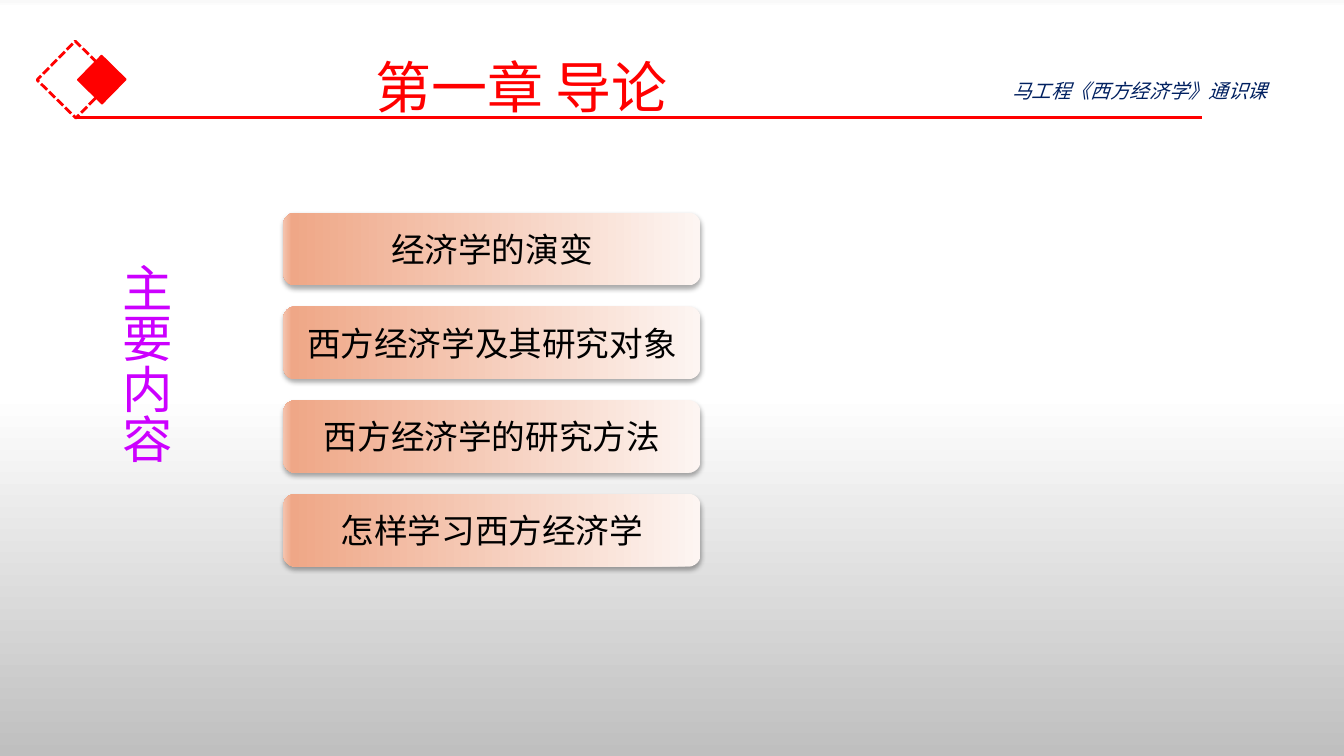
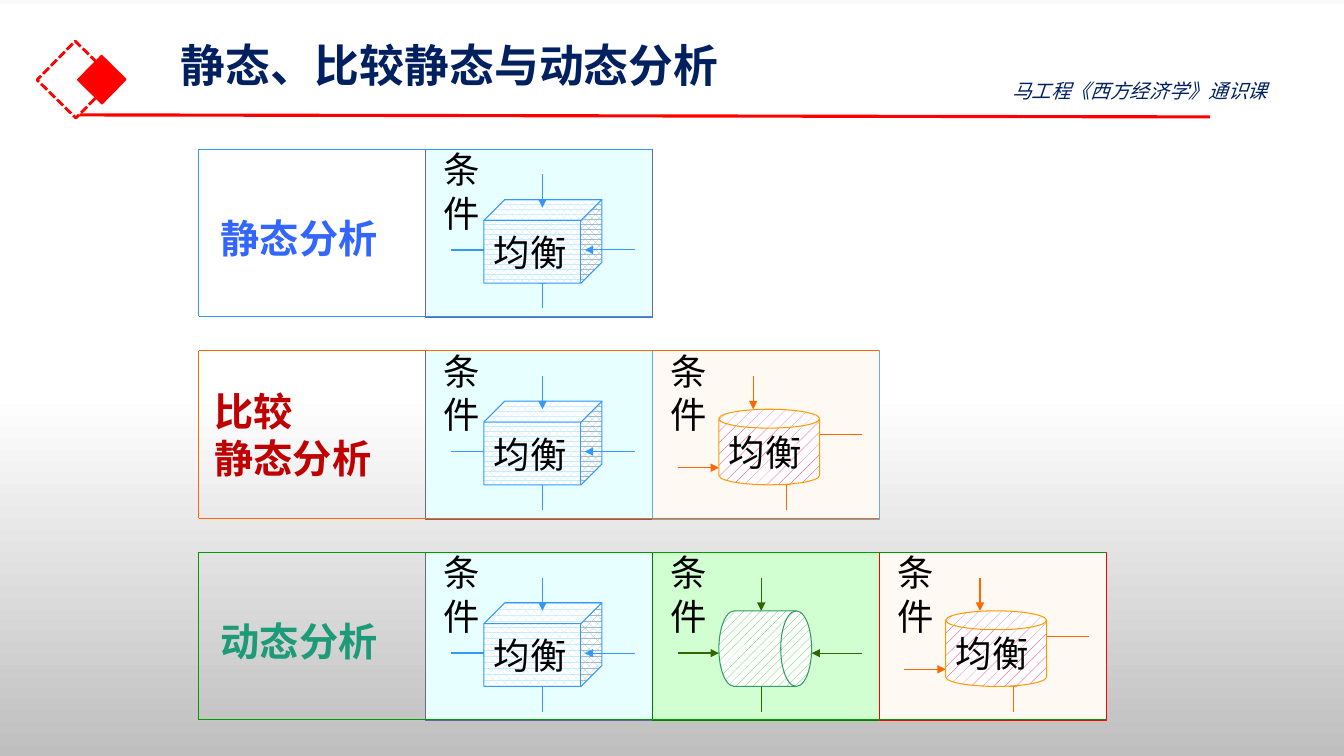
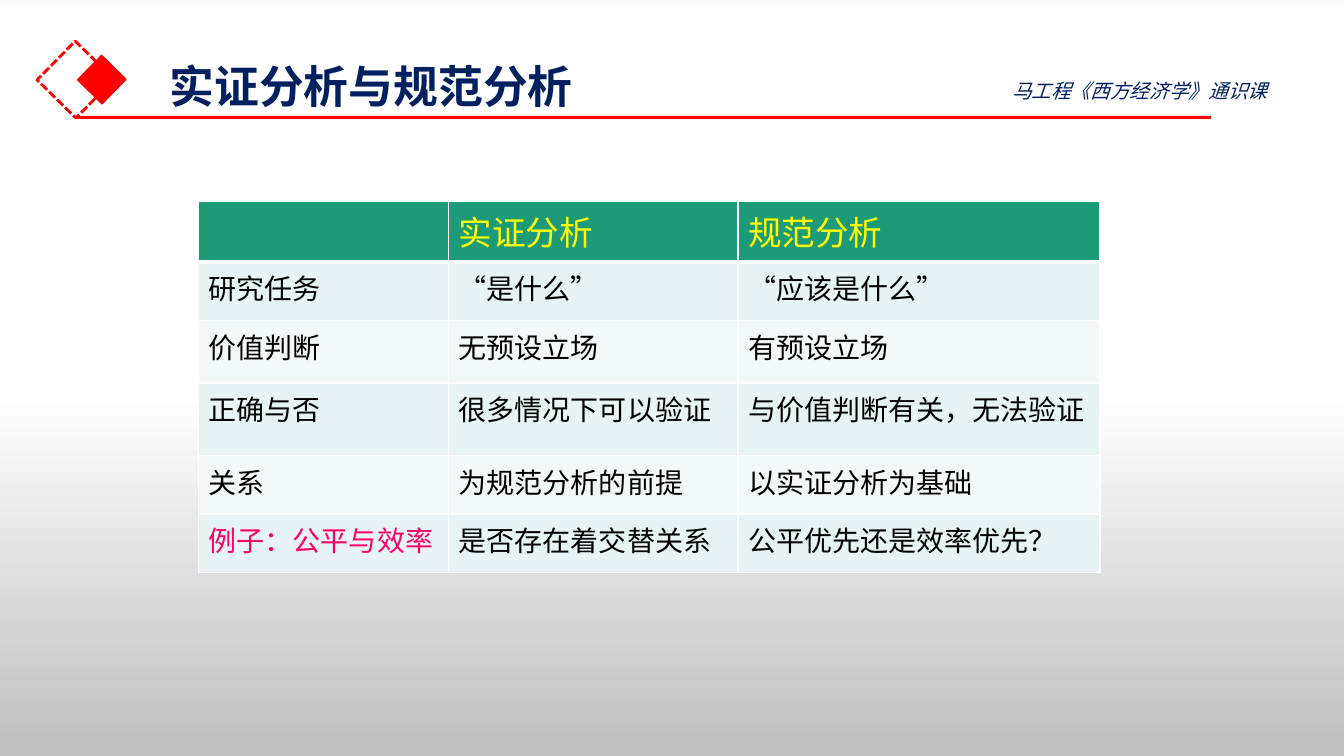
"""Build three slides of an introductory economics course."""
from dataclasses import dataclass, replace

from lxml import etree
from pptx import Presentation
from pptx import util as u
from pptx.dml.color import RGBColor
from pptx.enum import dml, lang, shapes, text
from pptx.oxml.ns import qn

SHAPE = shapes.MSO_SHAPE
ALIGN = text.PP_ALIGN
ANCHOR = text.MSO_ANCHOR
PATTERN = dml.MSO_PATTERN


@dataclass(frozen=True)
class Theme:
    """Colours, fonts and type sizes shared by the slides."""
    font: str = "Noto Sans CJK SC"
    table_font: str = "Arial"
    red: str = "FF0000"
    navy: str = "002060"
    purple: str = "CC00FF"
    black: str = "000000"
    white: str = "FFFFFF"
    blue: str = "3399FF"
    orange: str = "FF6600"
    green: str = "009900"
    teal: str = "1D9A78"
    yellow: str = "FFFF00"
    pink: str = "FF0066"
    bands: tuple = ("E7F3F4", "F3F9FA")
    backdrop: tuple = ((0, "F9F9F9"), (1, "FFFFFF"), (52, "FFFFFF"), (100, "BFBFBF"))
    button: tuple = ((0, "FDF5F2"), (98, "EFA787"), (100, "F4C4AF"))
    chapter: int = 40
    vertical: int = 36
    title: int = 32
    row_label: int = 28
    scene: int = 26
    head: int = 24
    cell: int = 20
    course: int = 14


T = Theme()


@dataclass(frozen=True)
class Scene:
    """One equilibrium cell: a solid with four arrows pointing at it."""
    fill: str
    border: str
    arrow: str
    solid: object
    at: tuple
    outline: str
    pattern: object
    ink: str
    left_y: float
    bottom_x: float
    right_y: float
    top_x: float
    behind: int = 4
    caption: str = "均衡"


CUBE = Scene("E7FFFF", "666699", T.blue, SHAPE.CUBE, (0.58, 0.5, 1.17, 0.83), T.blue,
             PATTERN.PERCENT_70, "C5ECFF", 1, 1.16, 1, 1.16, behind=2)
CAN = Scene("FFF9F3", "5FADE4", T.orange, SHAPE.CAN, (0.66, 0.58, 1, 0.75), "FF9900",
            PATTERN.PERCENT_10, T.pink, 1.16, 1.33, 0.83, 1)
DRUM = Scene("D1FFD1", "008000", "336600", SHAPE.FLOWCHART_DIRECT_ACCESS_STORAGE,
             (0.66, 0.58, 0.92, 0.75), "339966", PATTERN.PERCENT_20, "33CC33",
             1, 1.08, 1, 1.08, caption="")

ROWS = [
    (["静态分析"], "3366FF", T.blue, (2.19, 0.5, 1.61, 0.75), [CUBE]),
    (["比较", "静态分析"], "C00000", T.orange, (2.13, 0.33, 1.76, 1), [CUBE, CAN]),
    (["动态分析"], T.teal, T.green, (2.19, 0.5, 1.61, 0.75),
     [replace(CUBE, pattern=PATTERN.PERCENT_60), DRUM, replace(CAN, border=T.red)]),
]

TOPICS = ["经济学的演变", "西方经济学及其研究对象", "西方经济学的研究方法", "怎样学习西方经济学"]

COMPARISON = [
    ["", "实证分析", "规范分析"],
    ["研究任务", "“是什么”", "“应该是什么”"],
    ["价值判断", "无预设立场", "有预设立场"],
    ["正确与否", "很多情况下可以验证", "与价值判断有关，无法验证"],
    ["关系", "为规范分析的前提", "以实证分析为基础"],
    ["例子：公平与效率", "是否存在着交替关系", "公平优先还是效率优先？"],
]


def rgb(value):
    """Turn a hex string into a colour."""
    return RGBColor.from_string(value)


def box(at):
    """Convert a tuple of inches to lengths."""
    return [u.Inches(v) for v in at]


def sub(parent, tag, **attrs):
    """Append an XML child and return it."""
    return etree.SubElement(parent, qn(tag), {k: str(v) for k, v in attrs.items()})


def gradient(fill, owner, stops, angle):
    """Give a fill a linear gradient with any number of stops."""
    fill.gradient()
    fill.gradient_angle = angle
    stop_list = owner.find(".//" + qn("a:gsLst"))
    for old in list(stop_list):
        stop_list.remove(old)
    for pos, colour in stops:
        sub(sub(stop_list, "a:gs", pos=pos * 1000), "a:srgbClr", val=colour)


def write(tf, lines, size, colour, bold=False, italic=False, align=ALIGN.LEFT,
          anchor=ANCHOR.TOP, margins=(0.1, 0.05), wrap=True, spacing=None, font=T.font):
    """Fill a text frame with one formatted paragraph per line."""
    tf.word_wrap = wrap
    tf.vertical_anchor = anchor
    tf.margin_left = tf.margin_right = u.Inches(margins[0])
    tf.margin_top = tf.margin_bottom = u.Inches(margins[1])
    for i, line in enumerate(lines):
        p = tf.add_paragraph() if i else tf.paragraphs[0]
        p.alignment = align
        if spacing:
            p.line_spacing = spacing
        r = p.add_run()
        r.text = line
        r.font.size = u.Pt(size)
        r.font.bold = bold
        r.font.italic = italic
        r.font.color.rgb = rgb(colour)
        r.font.name = font
        r.font.language_id = lang.MSO_LANGUAGE_ID.SIMPLIFIED_CHINESE
        sub(r.font._element, "a:ea", typeface=T.font)


def add_text(parent, at, lines, size, colour, **style):
    """Add a text box."""
    sp = parent.add_textbox(*box(at))
    write(sp.text_frame, lines, size, colour, **style)
    return sp


def add_shape(parent, kind, at, fill=None, line=None, width=0.75):
    """Add a preset shape without shadow."""
    sp = parent.add_shape(kind, *box(at))
    sp.shadow.inherit = False
    if fill:
        sp.fill.solid()
        sp.fill.fore_color.rgb = rgb(fill)
    else:
        sp.fill.background()
    if line:
        sp.line.color.rgb = rgb(line)
        sp.line.width = u.Pt(width)
    else:
        sp.line.fill.background()
    return sp


def add_line(parent, start, end, colour, width=0.75, arrow=False):
    """Add a straight line, with an arrowhead at its end if asked."""
    cx = parent.add_connector(shapes.MSO_CONNECTOR.STRAIGHT, *box(start + end))
    cx.line.color.rgb = rgb(colour)
    cx.line.width = u.Pt(width)
    if arrow:
        sub(cx.line._get_or_add_ln(), "a:tailEnd", type="triangle")
    sub(cx._element.spPr, "a:effectLst")
    return cx


def add_slide(prs, title, at, rule, size=T.title, colour=T.navy, **style):
    """Add a slide with its title, diamond mark, rule and course name."""
    s = prs.slides.add_slide(prs.slide_layouts[5])
    diamond = add_shape(s.shapes, SHAPE.RECTANGLE, (0.48, 0.52, 0.54, 0.54), None, T.red, 2)
    diamond.line.dash_style = dml.MSO_LINE.SQUARE_DOT
    core = add_shape(s.shapes, SHAPE.RECTANGLE, (0.84, 0.62, 0.34, 0.34), T.red, T.red, 1)
    diamond.rotation = core.rotation = 314.5
    add_line(s.shapes, *rule, T.red, 2.25)
    sp = s.shapes.title
    sp.left, sp.top, sp.width, sp.height = box(at)
    sp.text_frame.auto_size = text.MSO_AUTO_SIZE.NONE
    write(sp.text_frame, [title], size, colour, margins=(0.1, 0), **style)
    add_text(s.shapes, (9.94, 0.73, 3.24, 0.34), ["马工程《西方经济学》通识课"],
             T.course, T.navy, italic=True)
    return s


def add_button(s, at, label):
    """Add a rounded gradient button with a soft shadow."""
    sp = add_shape(s.shapes, SHAPE.ROUNDED_RECTANGLE, at)
    gradient(sp.fill, sp._element.spPr, T.button, 180)
    effects = sp._element.spPr.find(qn("a:effectLst"))
    shadow = sub(effects, "a:outerShdw", blurRad=u.Pt(3.5), dist=u.Pt(2.2),
                 dir=5400000, algn="t", rotWithShape=0)
    sub(sub(shadow, "a:srgbClr", val=T.black), "a:alpha", val=32000)
    write(sp.text_frame, [label], T.head, T.black, align=ALIGN.CENTER, anchor=ANCHOR.MIDDLE)


def add_scene(parent, scene, x, y):
    """Draw one equilibrium cell with its top left corner at x, y."""
    add_shape(parent, SHAPE.RECTANGLE, (x, y, 2.25, 1.67), scene.fill, scene.border)
    arrows = [
        ((0.25, scene.left_y), (0.66, scene.left_y), 1),
        ((scene.bottom_x, 1.58), (scene.bottom_x, 1.25), 0.75),
        ((2.08, scene.right_y), (1.58, scene.right_y), 0.75),
        ((scene.top_x, 0.25), (scene.top_x, 0.58), 0.75),
    ]

    def draw(part):
        for (x1, y1), (x2, y2), width in part:
            add_line(parent, (x + x1, y + y1), (x + x2, y + y2), scene.arrow, width, True)

    draw(arrows[:scene.behind])
    left, top, width, height = scene.at
    sp = add_shape(parent, scene.solid, (x + left, y + top, width, height), None, scene.outline)
    sp.fill.patterned()
    sp.fill.pattern = scene.pattern
    sp.fill.fore_color.rgb = rgb(scene.ink)
    sp.fill.back_color.rgb = rgb(T.white)
    if scene.caption:
        write(sp.text_frame, [scene.caption], T.scene, T.black,
              anchor=ANCHOR.MIDDLE, wrap=False)
    draw(arrows[scene.behind:])
    add_text(parent, (x + 0.08, y + 0.08, 0.67, 0.67), ["条件"], T.scene, T.black,
             anchor=ANCHOR.MIDDLE, wrap=False)


def add_row(s, y, label, colour, frame, label_at, scenes):
    """Draw one method of analysis: label, scenes and frame."""
    parent = s.shapes.add_group_shape().shapes
    left, step, height = 1.97, 2.25, 1.66
    for i, scene in enumerate(scenes, 1):
        add_scene(parent, scene, left + i * step, y)
    x, dy, w, h = label_at
    add_text(parent, (x, y + dy, w, h), label, T.row_label, colour, bold=True,
             align=ALIGN.JUSTIFY, anchor=ANCHOR.MIDDLE, margins=(0, 0.05))
    right, bottom = left + (len(scenes) + 1) * step, y + height
    add_line(parent, (left, bottom), (right, bottom), frame)
    add_line(parent, (left, y), (right, y), frame)
    add_line(parent, (left, bottom), (left, y), frame)


def set_borders(cell, widths):
    """Give a cell white borders: left, right, top, bottom."""
    tc_pr = cell._tc.get_or_add_tcPr()
    for i, (side, width) in enumerate(zip("LRTB", widths)):
        ln = sub(tc_pr, "a:ln" + side, w=u.Pt(width))
        sub(sub(ln, "a:solidFill"), "a:srgbClr", val=T.white)
        tc_pr.insert(i, ln)


def add_comparison(s, at, cols, heights):
    """Add the comparison table."""
    table = s.shapes.add_table(len(heights), len(cols), *box(at)).table
    for col, width in zip(table.columns, cols):
        col.width = u.Inches(width)
    for row, height in zip(table.rows, heights):
        row.height = u.Inches(height)
    last = len(COMPARISON) - 1
    for i, row in enumerate(COMPARISON):
        for j, value in enumerate(row):
            cell = table.cell(i, j)
            cell.fill.solid()
            cell.fill.fore_color.rgb = rgb(T.bands[(i - 1) % 2] if i else T.teal)
            set_borders(cell, (1, 1, 3 if i == 1 else 1, 1 if i else 3))
            colour = T.pink if (i, j) == (last, 0) else T.black
            if value:
                write(cell.text_frame, [value], T.cell if i else T.head,
                      colour if i else T.yellow, font=T.table_font)


def contents_slide(prs):
    """Build the chapter contents."""
    s = add_slide(prs, "第一章 导论", (2.69, 0.47, 4.96, 0.77), ((0.75, 1.17), (11.92, 1.17)),
                  T.chapter, T.red, align=ALIGN.CENTER, anchor=ANCHOR.MIDDLE)
    for i, topic in enumerate(TOPICS):
        add_button(s, (2.81, 2.11 + 0.93 * i, 4.14, 0.72), topic)
    sp = add_text(s.shapes, (0.99, 2.51, 0.81, 3.77), ["主要内容"], T.vertical, T.purple)
    sp.text_frame._txBody.bodyPr.set("vert", "eaVert")


def analysis_slide(prs):
    """Build the three methods of analysis."""
    s = add_slide(prs, "静态、比较静态与动态分析", (1.69, 0.43, 11.5, 0.95),
                  ((0.79, 1.14), (12, 1.16)), bold=True, spacing=0.9, anchor=ANCHOR.TOP)
    for i, row in enumerate(ROWS):
        add_row(s, 1.48 + 2 * i, *row)


def comparison_slide(prs):
    """Build the comparison of positive and normative analysis."""
    s = add_slide(prs, "实证分析与规范分析", (1.58, 0.59, 11.5, 0.59),
                  ((0.75, 1.17), (12.01, 1.17)), bold=True, spacing=0.9, anchor=ANCHOR.MIDDLE)
    add_comparison(s, (1.97, 2, 8.94, 3.69), (2.48, 2.87, 3.59),
                   (0.6, 0.58, 0.62, 0.72, 0.58, 0.58))


def main():
    """Build and save the presentation."""
    prs = Presentation()
    prs.slide_width, prs.slide_height = u.Inches(13.33), u.Inches(7.5)
    master = prs.slide_master
    gradient(master.background.fill, master.element, T.backdrop, 270)
    contents_slide(prs)
    analysis_slide(prs)
    comparison_slide(prs)
    prs.save("out.pptx")


if __name__ == "__main__":
    main()
